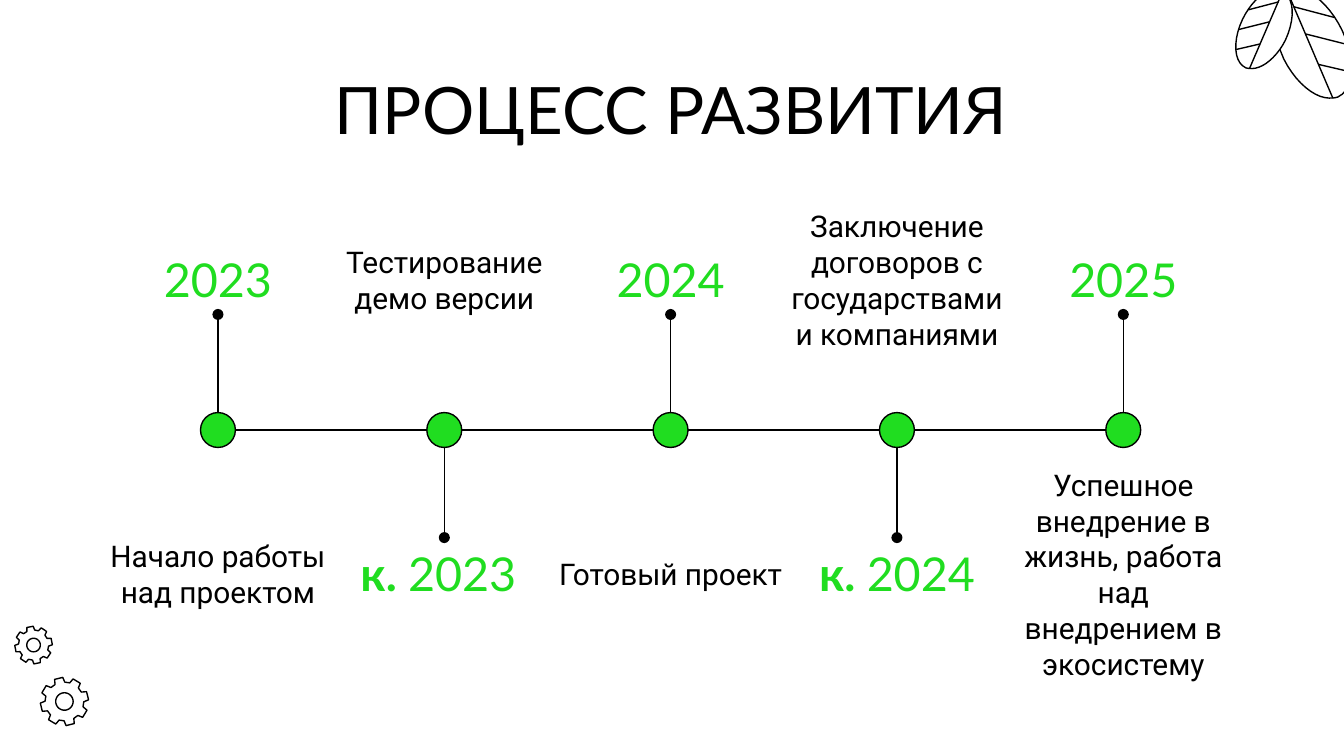
from math import cos, radians, sin

from lxml import etree
from pptx import Presentation
from pptx.dml.color import RGBColor
from pptx.enum.shapes import MSO_CONNECTOR, MSO_SHAPE
from pptx.enum.text import MSO_ANCHOR, PP_ALIGN
from pptx.oxml.ns import qn
from pptx.util import Inches, Pt

STRAIGHT = MSO_CONNECTOR.STRAIGHT
OVAL = MSO_SHAPE.OVAL
MIDDLE = MSO_ANCHOR.MIDDLE
CENTER = PP_ALIGN.CENTER

SLIDE_WIDTH = 10
SLIDE_HEIGHT = SLIDE_WIDTH * 9 / 16

BLACK, WHITE, GREEN = "000000", "FFFFFF", "20DD20"
LINE_WIDTH = 0.75

TITLE_FORMAT = {"name": "Lato", "size": Pt(35), "color": BLACK}
DATE_FORMAT = {"name": "Lato", "size": Pt(25), "color": GREEN}
BODY_FORMAT = {"name": "Roboto", "size": Pt(16), "color": BLACK}

# Date prefix, year, description; odd steps hang below the axis
STEPS = [
    ("", "2023", "Начало работы над проектом"),
    ("к. ", "2023 ", "Тестирование демо версии"),
    ("", "2024", "Готовый проект"),
    ("к. ", "2024", "Заключение договоров с государствами и компаниями"),
    ("", "2025", "Успешное внедрение в жизнь, работа над внедрением в экосистему"),
]

# Leaf in a unit box: Bezier outline, then stem and veins
LEAF_START = (0.69, 1)
LEAF_CURVES = [
    ((0.72, 1), (0.75, 1), (0.79, 0.99)),
    ((0.98, 0.92), (1, 0.65), (0.84, 0.38)),
    ((0.7, 0.15), (0.48, 0), (0.31, 0)),
    ((0.28, 0), (0.25, 0.01), (0.22, 0.02)),
    ((0.02, 0.1), (0, 0.36), (0.16, 0.64)),
    ((0.3, 0.86), (0.52, 1), LEAF_START),
]
LEAF_LINES = [
    ((0.73, 1), (0.2, 0.02)),
    ((0.27, 0.16), (0.75, 0.26)),
    ((0.41, 0.41), (0.91, 0.51)),
    ((0.56, 0.69), (0.94, 0.76)),
]


def rgb(color):
    return RGBColor.from_string(color)


def style_shape(shape, fill=None):
    shape.shadow.inherit = False
    if fill:
        shape.fill.solid()
        shape.fill.fore_color.rgb = rgb(fill)
    else:
        shape.fill.background()
    shape.line.color.rgb = rgb(BLACK)
    shape.line.width = Pt(LINE_WIDTH)


def add_text(slide, left, top, width, height, runs):
    """Add a centred text box; runs is a list of (text, format) pairs."""
    box = slide.shapes.add_textbox(Inches(left), Inches(top), Inches(width), Inches(height))
    frame = box.text_frame
    frame.word_wrap = True
    frame.vertical_anchor = MIDDLE
    for side in ("left", "top", "right", "bottom"):
        setattr(frame, f"margin_{side}", 0)
    paragraph = frame.paragraphs[0]
    paragraph.alignment = CENTER
    for text, values in runs:
        run = paragraph.add_run()
        run.text = text
        for name, value in values.items():
            if name == "color":
                run.font.color.rgb = rgb(value)
            else:
                setattr(run.font, name, value)


def add_line(slide, start, end, oval_end=False):
    connector = slide.shapes.add_connector(STRAIGHT, *map(Inches, (*start, *end)))
    connector.line.color.rgb = rgb(BLACK)
    connector.line.width = Pt(LINE_WIDTH)
    properties = connector._element.spPr
    if oval_end:
        tail = etree.SubElement(properties.find(qn("a:ln")), qn("a:tailEnd"))
        tail.set("type", "oval")
    etree.SubElement(properties, qn("a:effectLst"))


def add_outline(slide, contours, fill=None):
    """Draw closed contours, each a list of points in inches, as one shape."""
    builder = None
    for contour in contours:
        points = [(Inches(x), Inches(y)) for x, y in contour]
        if builder is None:
            builder = slide.shapes.build_freeform(*points[0])
        else:
            builder.move_to(*points[0])
        builder.add_line_segments(points[1:], close=True)
    style_shape(builder.convert_to_shape(), fill)


def curve_points(start, curves, count=10):
    points = [start]
    for first, second, end in curves:
        begin = points[-1]
        for step in range(1, count + 1):
            t = step / count
            weights = ((1 - t) ** 3, 3 * t * (1 - t) ** 2, 3 * t * t * (1 - t), t ** 3)
            corners = (begin, first, second, end)
            points.append(tuple(sum(w * c[axis] for w, c in zip(weights, corners))
                                for axis in (0, 1)))
    return points


def draw_leaf(slide, left, top, width, height, mirrored=False):
    def place(point):
        x = 1 - point[0] if mirrored else point[0]
        return left + width * x, top + height * point[1]

    add_outline(slide, [[place(p) for p in curve_points(LEAF_START, LEAF_CURVES)]], WHITE)
    for start, end in LEAF_LINES:
        add_line(slide, place(start), place(end))


def draw_gear(slide, left, top, size, turn):
    """Eight teeth and a round hole; turn is the angle of the first tooth."""
    radius = size / 2

    def polar(angle, share):
        return (left + radius + radius * share * cos(radians(angle)),
                top + radius + radius * share * sin(radians(angle)))

    teeth = [polar(turn + 45 * tooth + offset, share)
             for tooth in range(8)
             for offset, share in ((-15, 0.8), (-10, 1), (10, 1), (15, 0.8))]
    hole = [polar(angle, 0.36) for angle in range(0, 360, 10)]
    add_outline(slide, [teeth, hole])


def draw_timeline(slide, left, top, width, height):
    column = width / len(STEPS)
    diameter = 0.26
    radius = diameter / 2
    axis = top + 1.41
    bottom_date = top + height - 0.56
    for index, (prefix, year, description) in enumerate(STEPS):
        x = left + column * index
        center = x + column / 2
        above = index % 2 == 0

        # Date and description on opposite sides of the axis
        date_top = top + 0.02 if above else bottom_date
        body_top = bottom_date - 0.02 if above else top
        date_runs = [(year, DATE_FORMAT)]
        if prefix:
            date_runs.insert(0, (prefix, {**DATE_FORMAT, "bold": True}))
        add_text(slide, x, date_top, column, 0.53, date_runs)
        add_text(slide, x, body_top, column, 0.58, [(description, BODY_FORMAT)])

        # Marker
        marker = slide.shapes.add_shape(OVAL, Inches(center - radius), Inches(axis - radius),
                                        Inches(diameter), Inches(diameter))
        style_shape(marker, GREEN)

        # Stalk to the date, then the axis to the next marker
        if above:
            add_line(slide, (center, axis - radius), (center, date_top + 0.53), True)
        else:
            add_line(slide, (center, axis + radius), (center, date_top), True)
        if index < len(STEPS) - 1:
            add_line(slide, (center + radius, axis), (center + column - radius, axis))


def main():
    presentation = Presentation()
    presentation.slide_width = Inches(SLIDE_WIDTH)
    presentation.slide_height = Inches(SLIDE_HEIGHT)
    slide = presentation.slides.add_slide(presentation.slide_layouts[6])

    # Corner decoration
    draw_leaf(slide, 9.45, -0.08, 0.64, 0.81)
    draw_leaf(slide, 9.17, -0.08, 0.47, 0.59, mirrored=True)
    draw_gear(slide, 0.3, 5.04, 0.36, -14)
    draw_gear(slide, 0.11, 4.66, 0.28, -11)

    # Title and timeline
    add_text(slide, 0.78, 0.49, 8.43, 0.63, [("ПРОЦЕСС РАЗВИТИЯ", TITLE_FORMAT)])
    draw_timeline(slide, 0.78, 1.79, 8.42, 2.77)
    presentation.save("out.pptx")


if __name__ == "__main__":
    main()
